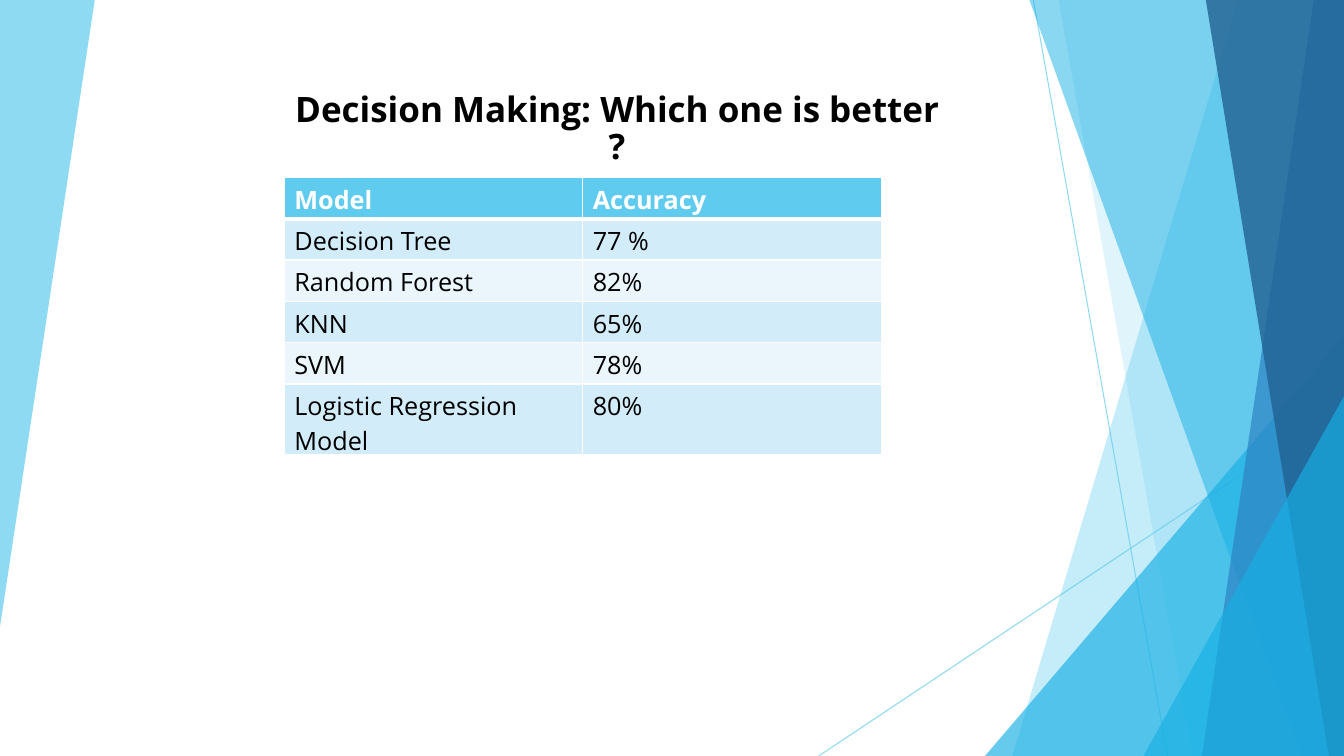
"""Build a slide comparing the accuracy of five classification models."""
from lxml.etree import SubElement
from pptx import Presentation
from pptx.dml.color import RGBColor
from pptx.enum.shapes import MSO_CONNECTOR, MSO_SHAPE
from pptx.enum.text import MSO_ANCHOR, PP_ALIGN
from pptx.oxml.ns import qn
from pptx.util import Inches, Pt

SKY = RGBColor(0x5F, 0xCB, 0xEF)
CYAN = RGBColor(0x17, 0xB0, 0xE4)
BLUE = RGBColor(0x2E, 0x83, 0xC3)
NAVY = RGBColor(0x22, 0x62, 0x92)
BAND_DARK = RGBColor(0xD2, 0xEC, 0xF9)
BAND_LIGHT = RGBColor(0xEA, 0xF6, 0xFC)
WHITE = RGBColor(0xFF, 0xFF, 0xFF)
BLACK = RGBColor(0, 0, 0)
FONT = "Open Sans"
WIDTH, HEIGHT = 13.33, 7.5


def paint(fill, color, opacity):
    """Fill with a colour at the given opacity in percent."""
    fill.solid()
    fill.fore_color.rgb = color
    for srgb in fill._xPr.iter(qn("a:srgbClr")):
        SubElement(srgb, qn("a:alpha"), val=str(opacity * 1000))


def write(paragraph, text, size, color, bold):
    """Add one run of text to a paragraph."""
    run = paragraph.add_run()
    run.text = text
    run.font.name = FONT
    run.font.size = Pt(size)
    run.font.bold = bold
    run.font.color.rgb = color


prs = Presentation()
prs.slide_width, prs.slide_height = Inches(WIDTH), Inches(HEIGHT)
slide = prs.slides.add_slide(prs.slide_layouts[6])
shapes = slide.shapes

rays = [((10.25, 0), (11.58, HEIGHT)), ((WIDTH, 4.03), (8.12, HEIGHT))]
for start, end in rays:
    ray = shapes.add_connector(MSO_CONNECTOR.STRAIGHT, *map(Inches, start + end))
    ray.line.width = Pt(0.75)
    paint(ray.line.fill, SKY, 70)
    SubElement(ray._element.spPr, qn("a:effectLst"))

left_facet = [(0, 0), (0.94, 0), (0, 6.22)]
right_facets = [
    (12.28, 10.04, SKY, 36),
    (10.5, 11.83, SKY, 20),
    (9.77, 3.33, CYAN, 66),
    (10.21, 12.91, CYAN, 50),
    (13.03, 11.92, BLUE, 70),
    (11.96, 13.18, NAVY, 80),
    (11.34, 3.93, CYAN, 66),
]
facets = [(left_facet, SKY, 70)]
for first, second, color, opacity in right_facets:
    if second < HEIGHT:
        facets.append(((first, second), color, opacity))
    else:
        outline = [(first, 0), (WIDTH, 0), (WIDTH, HEIGHT), (second, HEIGHT)]
        facets.append((outline, color, opacity))

for outline, color, opacity in facets:
    if len(outline) == 2:
        left, top = outline
        facet = shapes.add_shape(
            MSO_SHAPE.ISOSCELES_TRIANGLE, Inches(left), Inches(top),
            Inches(WIDTH - left), Inches(HEIGHT - top))
        facet.adjustments[0] = 1
    else:
        corners = [(Inches(x), Inches(y)) for x, y in outline]
        builder = shapes.build_freeform(*corners[0])
        builder.add_line_segments(corners[1:], close=True)
        facet = builder.convert_to_shape()
    facet.shadow.inherit = False
    facet.line.fill.background()
    paint(facet.fill, color, opacity)

title = shapes.add_textbox(Inches(2.79), Inches(0.87), Inches(6.66), Inches(0.5))
title.text_frame.word_wrap = True
title.text_frame.vertical_anchor = MSO_ANCHOR.TOP
heading = title.text_frame.paragraphs[0]
heading.alignment = PP_ALIGN.CENTER
heading.line_spacing = 0.88
write(heading, "Decision Making: Which one is better ?", 25, BLACK, True)

results = [
    ("Model", "Accuracy"),
    ("Decision Tree", "77 %"),
    ("Random Forest", "82%"),
    ("KNN", "65%"),
    ("SVM", "78%"),
    ("Logistic Regression Model", "80%"),
]
table = shapes.add_table(
    len(results), 2, Inches(2.82), Inches(1.76), Inches(5.93), Inches(2.46)).table
for column in table.columns:
    column.width = Inches(2.96)
for row_index, result in enumerate(results):
    table.rows[row_index].height = Inches(0.41)
    is_header = row_index == 0
    band = SKY if is_header else BAND_DARK if row_index % 2 else BAND_LIGHT
    for column_index, text in enumerate(result):
        cell = table.cell(row_index, column_index)
        properties = cell._tc.get_or_add_tcPr()
        for side in ("lnL", "lnR", "lnT", "lnB"):
            thick = (side == "lnB" and is_header) or (side == "lnT" and row_index == 1)
            border = SubElement(properties, qn(f"a:{side}"), w=str(Pt(3 if thick else 1)))
            border_fill = SubElement(border, qn("a:solidFill"))
            SubElement(border_fill, qn("a:srgbClr"), val=str(WHITE))
        cell.fill.solid()
        cell.fill.fore_color.rgb = band
        write(cell.text_frame.paragraphs[0], text, 18,
              WHITE if is_header else BLACK, is_header)

prs.save("out.pptx")
